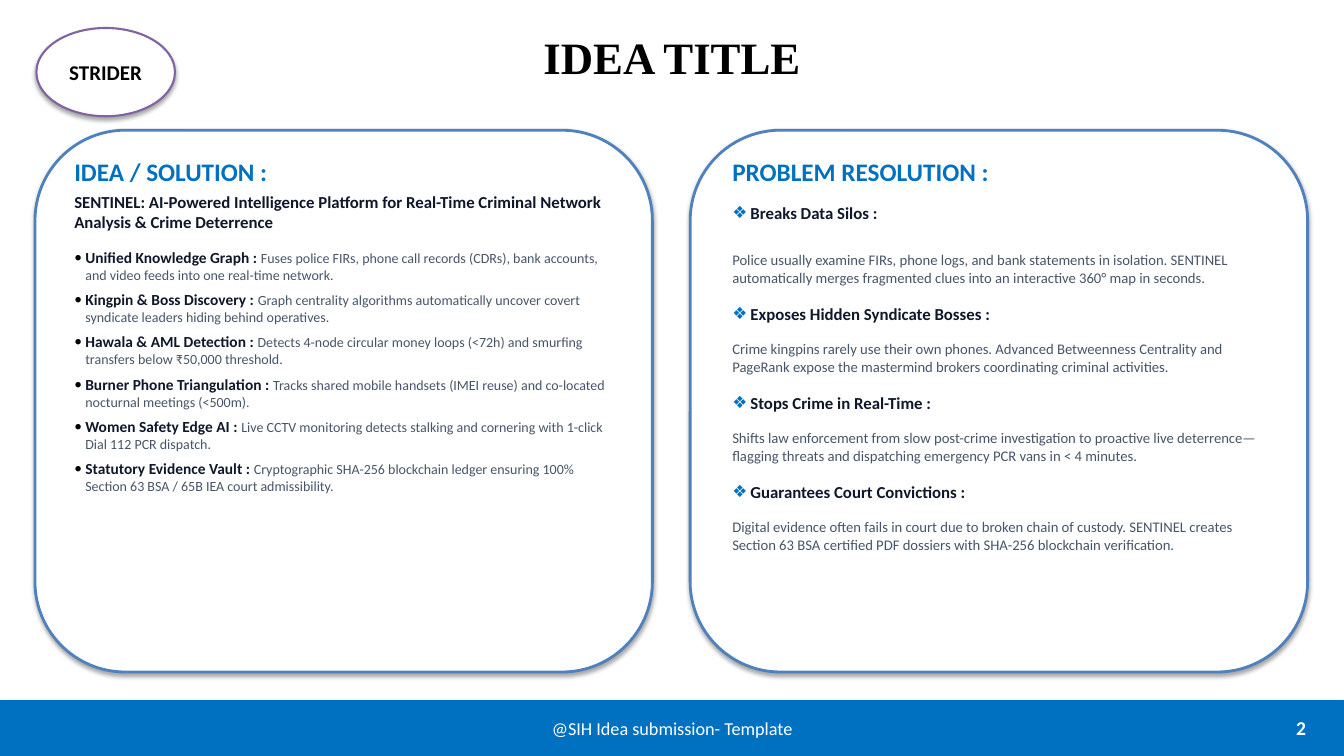
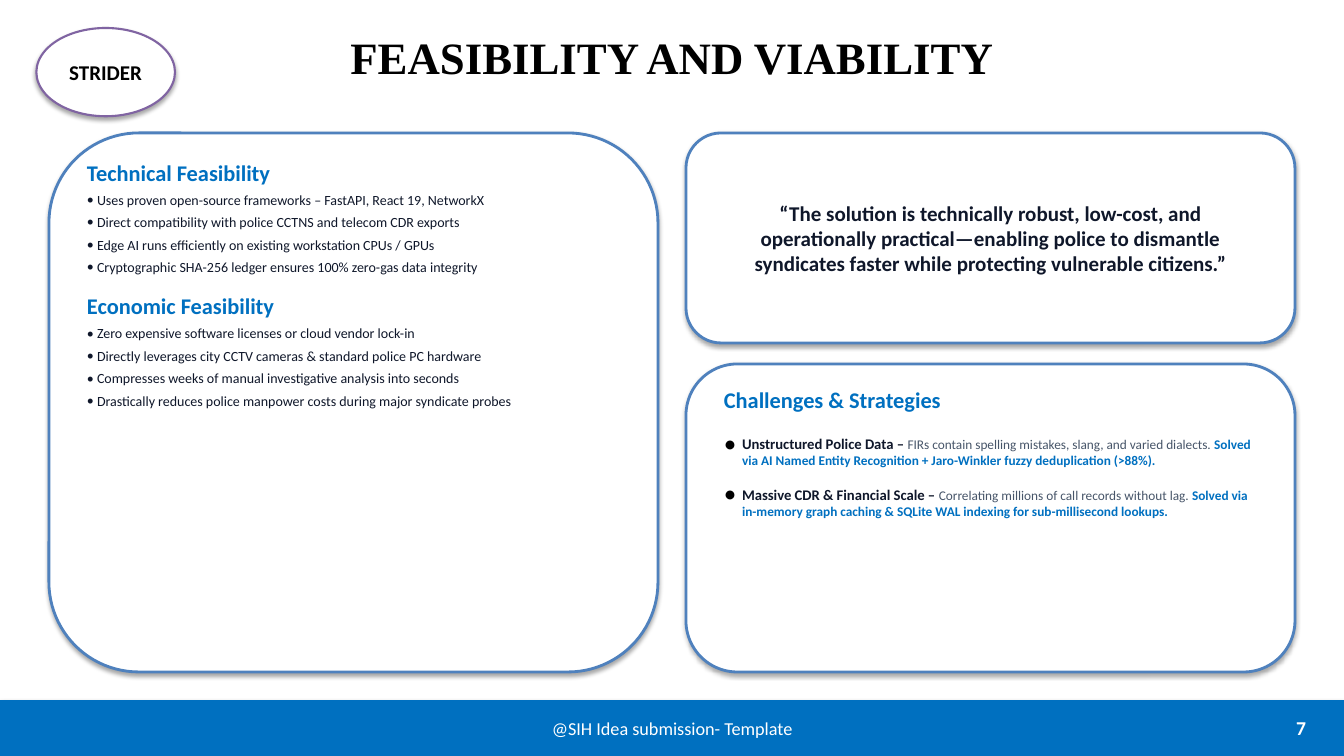
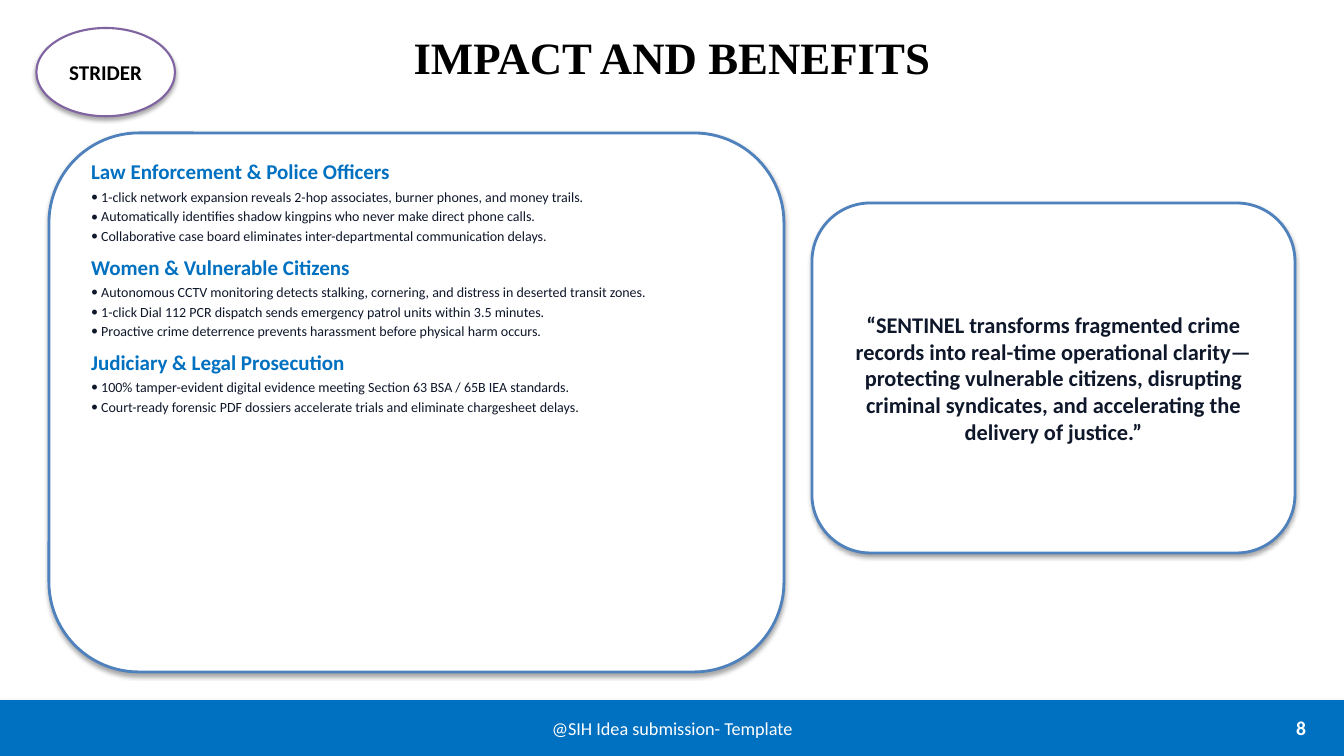
from lxml import etree
from pptx import Presentation
from pptx import util as u
from pptx.dml.color import RGBColor
from pptx.enum import shapes, text
from pptx.oxml import ns

BLUE = RGBColor(0x00, 0x70, 0xC0)
BORDER = RGBColor(0x4F, 0x81, 0xBD)
PURPLE = RGBColor(0x80, 0x64, 0xA2)
NAVY = RGBColor(0x0F, 0x17, 0x2A)
SLATE = RGBColor(0x47, 0x55, 0x69)
BLACK = RGBColor(0x00, 0x00, 0x00)
WHITE = RGBColor(0xFF, 0xFF, 0xFF)

BODY_FONT = "Calibri"
TITLE_FONT = "Times New Roman"
COLUMNS, ROWS = 96, 54
LEFT, CENTER, RIGHT = text.PP_ALIGN.LEFT, text.PP_ALIGN.CENTER, text.PP_ALIGN.RIGHT
TOP, MIDDLE = text.MSO_ANCHOR.TOP, text.MSO_ANCHOR.MIDDLE

FEATURES = [
    ("Unified Knowledge Graph : ", "Fuses police FIRs, phone call records (CDRs), bank accounts, and video feeds into one real-time network."),
    ("Kingpin & Boss Discovery : ", "Graph centrality algorithms automatically uncover covert syndicate leaders hiding behind operatives."),
    ("Hawala & AML Detection : ", "Detects 4-node circular money loops (<72h) and smurfing transfers below ₹50,000 threshold."),
    ("Burner Phone Triangulation : ", "Tracks shared mobile handsets (IMEI reuse) and co-located nocturnal meetings (<500m)."),
    ("Women Safety Edge AI : ", "Live CCTV monitoring detects stalking and cornering with 1-click Dial 112 PCR dispatch."),
    ("Statutory Evidence Vault : ", "Cryptographic SHA-256 blockchain ledger ensuring 100% Section 63 BSA / 65B IEA court admissibility."),
]
RESOLUTIONS = [
    ("Breaks Data Silos :", "Police usually examine FIRs, phone logs, and bank statements in isolation. SENTINEL automatically merges fragmented clues into an interactive 360° map in seconds."),
    ("Exposes Hidden Syndicate Bosses :", "Crime kingpins rarely use their own phones. Advanced Betweenness Centrality and PageRank expose the mastermind brokers coordinating criminal activities."),
    ("Stops Crime in Real-Time :", "Shifts law enforcement from slow post-crime investigation to proactive live deterrence—flagging threats and dispatching emergency PCR vans in < 4 minutes."),
    ("Guarantees Court Convictions :", "Digital evidence often fails in court due to broken chain of custody. SENTINEL creates Section 63 BSA certified PDF dossiers with SHA-256 blockchain verification."),
]
FEASIBILITY = {
    "Technical Feasibility": [
        "Uses proven open-source frameworks – FastAPI, React 19, NetworkX",
        "Direct compatibility with police CCTNS and telecom CDR exports",
        "Edge AI runs efficiently on existing workstation CPUs / GPUs",
        "Cryptographic SHA-256 ledger ensures 100% zero-gas data integrity",
    ],
    "Economic Feasibility": [
        "Zero expensive software licenses or cloud vendor lock-in",
        "Directly leverages city CCTV cameras & standard police PC hardware",
        "Compresses weeks of manual investigative analysis into seconds",
        "Drastically reduces police manpower costs during major syndicate probes",
    ],
}
CHALLENGES = [
    ("Unstructured Police Data – ", "FIRs contain spelling mistakes, slang, and varied dialects. ",
     "Solved via AI Named Entity Recognition + Jaro-Winkler fuzzy deduplication (>88%)."),
    ("Massive CDR & Financial Scale – ", "Correlating millions of call records without lag. ",
     "Solved via in-memory graph caching & SQLite WAL indexing for sub-millisecond lookups."),
]
BENEFITS = {
    "Law Enforcement & Police Officers": [
        "1-click network expansion reveals 2-hop associates, burner phones, and money trails.",
        "Automatically identifies shadow kingpins who never make direct phone calls.",
        "Collaborative case board eliminates inter-departmental communication delays.",
    ],
    "Women & Vulnerable Citizens": [
        "Autonomous CCTV monitoring detects stalking, cornering, and distress in deserted transit zones.",
        "1-click Dial 112 PCR dispatch sends emergency patrol units within 3.5 minutes.",
        "Proactive crime deterrence prevents harassment before physical harm occurs.",
    ],
    "Judiciary & Legal Prosecution": [
        "100% tamper-evident digital evidence meeting Section 63 BSA / 65B IEA standards.",
        "Court-ready forensic PDF dossiers accelerate trials and eliminate chargesheet delays.",
    ],
}


def style(font, size, color, bold=False, name=BODY_FONT):
    font.name, font.size, font.bold = name, u.Pt(size), bold
    font.color.rgb = color


class Deck:
    def __init__(self):
        self.presentation = Presentation()
        self.presentation.slide_width = u.Inches(13.33)
        self.presentation.slide_height = u.Inches(7.5)
        self.slide = None

    def place(self, column, row, columns, rows):
        across = self.presentation.slide_width / COLUMNS
        down = self.presentation.slide_height / ROWS
        return [int(length) for length in (column * across, row * down, columns * across, rows * down)]

    def start(self, title, number):
        self.slide = self.presentation.slides.add_slide(self.presentation.slide_layouts[5])
        heading = self.slide.shapes.title
        heading.left, heading.top, heading.width, heading.height = self.place(15, 0.8, 66, 6.5)
        heading.text_frame.vertical_anchor = MIDDLE
        self.paragraph(heading.text_frame, title, 32, BLACK, True, align=CENTER, name=TITLE_FONT)
        badge = self.shape(shapes.MSO_SHAPE.OVAL, (2.6, 2, 9.9, 6.3), WHITE, PURPLE, 1.5)
        self.paragraph(badge.text_frame, "STRIDER", 15, BLACK, True, align=CENTER)
        self.shape(shapes.MSO_SHAPE.RECTANGLE, (0, 50, COLUMNS, 4), BLUE)
        self.paragraph(self.text_box((20, 50.4, 56, 3.2), MIDDLE),
                       "@SIH Idea submission- Template", 13, WHITE, align=CENTER)
        self.paragraph(self.text_box((85, 50.4, 9, 3.2), MIDDLE), str(number), 14, WHITE, True, align=RIGHT)

    def shape(self, kind, box, fill, line=None, weight=0):
        shape = self.slide.shapes.add_shape(kind, *self.place(*box))
        shape.fill.solid()
        shape.fill.fore_color.rgb = fill
        if line is None:
            shape.line.fill.background()
        else:
            shape.line.color.rgb = line
            shape.line.width = u.Pt(weight)
        return shape

    def text_box(self, box, anchor=TOP):
        frame = self.slide.shapes.add_textbox(*self.place(*box)).text_frame
        frame.word_wrap = True
        frame.vertical_anchor = anchor
        return frame

    def panel(self, box, text_area, anchor=TOP):
        self.shape(shapes.MSO_SHAPE.ROUNDED_RECTANGLE, box, WHITE, BORDER, 2)
        return self.text_box(text_area, anchor)

    def paragraph(self, frame, content, size=None, color=None, bold=False, before=0, after=0,
                  align=LEFT, name=BODY_FONT, bullet=None):
        first = frame.paragraphs[0]
        is_first = not first.runs
        paragraph = first if is_first else frame.add_paragraph()
        if bullet:
            self.bullet(paragraph, *bullet)
        paragraph.alignment = align
        paragraph.space_before = u.Pt(0 if is_first else before)
        paragraph.space_after = u.Pt(after)
        if isinstance(content, str):
            paragraph.add_run().text = content
            style(paragraph.font, size, color, bold, name)
        else:
            for words, *look in content:
                run = paragraph.add_run()
                run.text = words
                style(run.font, *look)

    def bullet(self, paragraph, symbol, indent, color, percent=100):
        properties = paragraph._p.get_or_add_pPr()
        properties.set("marL", str(u.Inches(indent)))
        properties.set("indent", str(-u.Inches(indent)))
        tint = etree.SubElement(properties, ns.qn("a:buClr"))
        etree.SubElement(tint, ns.qn("a:srgbClr"), val=str(color))
        etree.SubElement(properties, ns.qn("a:buSzPct"), val=str(percent * 1000))
        etree.SubElement(properties, ns.qn("a:buFont"), typeface=BODY_FONT)
        etree.SubElement(properties, ns.qn("a:buChar"), char=symbol)

    def sections(self, frame, groups, size, before, gap):
        for heading, items in groups.items():
            self.paragraph(frame, heading, size, BLUE, True, before, 2)
            for item in items:
                self.paragraph(frame, item, 10, NAVY, before=gap, after=gap, bullet=("•", 0.1, NAVY))

    def quote(self, box, text_area, words, size):
        self.paragraph(self.panel(box, text_area, MIDDLE), words, size, NAVY, True, align=CENTER)


def idea(deck):
    deck.start("IDEA TITLE", 2)
    solution = deck.panel((2.5, 9.3, 44.1, 38.7), (4.6, 10.8, 40, 36))
    deck.paragraph(solution, "IDEA / SOLUTION :", 18, BLUE, True, after=4)
    deck.paragraph(solution, "SENTINEL: AI-Powered Intelligence Platform for Real-Time Criminal Network "
                   "Analysis & Crime Deterrence", 12, NAVY, True, after=8)
    for name, detail in FEATURES:
        deck.paragraph(solution, [(name, 11, NAVY, True), (detail, 10, SLATE)],
                       before=3, after=2, bullet=("•", 0.11, BLACK))
    resolution = deck.panel((49.3, 9.3, 44.1, 38.7), (51.6, 10.8, 40, 36))
    deck.paragraph(resolution, "PROBLEM RESOLUTION :", 18, BLUE, True, after=4)
    for index, (claim, detail) in enumerate(RESOLUTIONS):
        deck.paragraph(resolution, claim, 12, NAVY, True, 8, 4 if index else 12, bullet=("❖", 0.18, BLUE))
        deck.paragraph(resolution, detail, 10.5, SLATE, before=8, after=4)


def feasibility(deck):
    deck.start("FEASIBILITY AND VIABILITY", 7)
    deck.sections(deck.panel((3.5, 9.5, 43.5, 38.5), (5.5, 11, 39.5, 35.5)), FEASIBILITY, 16, 10, 2)
    deck.quote((49, 9.5, 43.5, 15), (51, 10.5, 39.5, 13),
               "“The solution is technically robust, low-cost, and operationally practical—enabling police "
               "to dismantle syndicates faster while protecting vulnerable citizens.”", 15)
    challenges = deck.panel((49, 26, 43.5, 22), (51, 27.2, 39.5, 19.5))
    deck.paragraph(challenges, "Challenges & Strategies", 16, BLUE, True, after=4)
    for name, problem, answer in CHALLENGES:
        deck.paragraph(challenges, [(name, 10.5, NAVY, True), (problem, 9.5, SLATE), (answer, 9.5, BLUE, True)],
                       before=12, bullet=("•", 0.18, BLACK, 171))


def impact(deck):
    deck.start("IMPACT AND BENEFITS", 8)
    deck.sections(deck.panel((3.5, 9.5, 52.5, 38.5), (5.8, 11, 48, 35.5)), BENEFITS, 15, 6, 1)
    deck.quote((58, 14.5, 34.5, 25), (60, 15.5, 30.5, 23),
               "“SENTINEL transforms fragmented crime records into real-time operational clarity—protecting "
               "vulnerable citizens, disrupting criminal syndicates, and accelerating the delivery of justice.”", 16)


def main():
    deck = Deck()
    for build in (idea, feasibility, impact):
        build(deck)
    deck.presentation.save("out.pptx")


if __name__ == "__main__":
    main()
